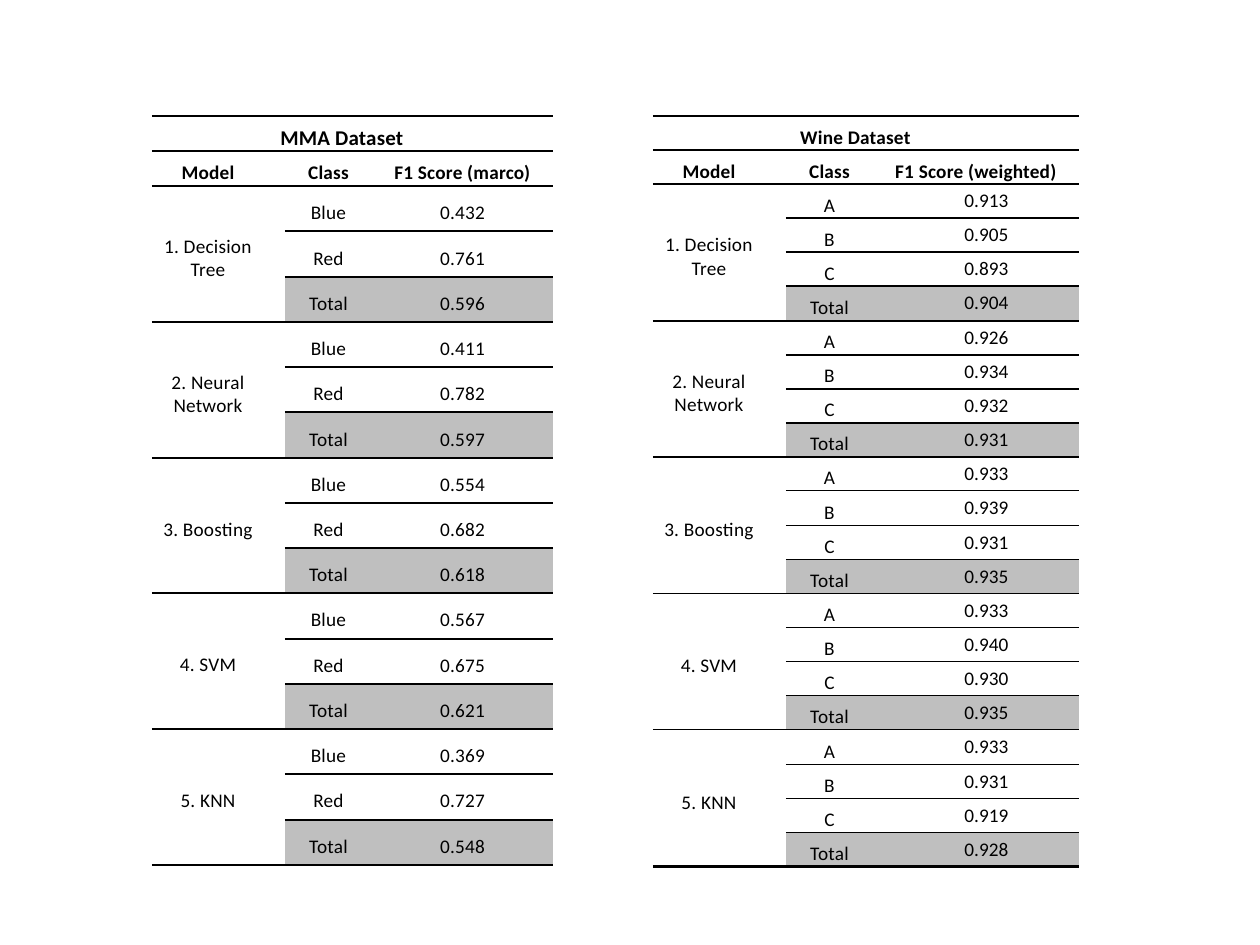
from copy import deepcopy
from lxml.etree import SubElement
from pptx import Presentation
from pptx.dml.color import RGBColor
from pptx.enum.text import MSO_ANCHOR as ANCHOR, PP_ALIGN as ALIGN
from pptx.oxml import parse_xml
from pptx.oxml.ns import qn
from pptx.util import Pt

PX = 914400 // 126
COLORS = {"ink": "000000", "total": "BFBFBF"}
NS = "http://schemas.openxmlformats.org/drawingml/2006/main"
PLAIN_STYLE = "{2D5ABB26-0587-4C30-8999-92F81FD0307C}"
MODELS = ["1. Decision Tree", "2. Neural\vNetwork", "3. Boosting", "4. SVM", "5. KNN"]
TABLES = [
    dict(title="MMA Dataset", title_size=12, score="F1 Score (marco)",
         left=152, widths=[133, 108, 160], header=35, body=679,
         classes=["Blue", "Red", "Total"], score_inset=True,
         scores=["0.432 0.761 0.596", "0.411 0.782 0.597", "0.554 0.682 0.618",
                 "0.567 0.675 0.621", "0.369 0.727 0.548"]),
    dict(title="Wine Dataset", title_size=11, score="F1 Score (weighted)",
         left=653, widths=[133, 108, 185], header=34, body=683,
         classes=["A", "B", "C", "Total"], score_inset=False,
         scores=["0.913 0.905 0.893 0.904", "0.926 0.934 0.932 0.931",
                 "0.933 0.939 0.931 0.935", "0.933 0.940 0.930 0.935",
                 "0.933 0.931 0.919 0.928"]),
]
TOP = 116


def write_cell(cell, text="", size=11, bold=False, inset=True, fill=None, top=1, bottom=1):
    cell.vertical_anchor = ANCHOR.MIDDLE
    cell.margin_left = cell.margin_bottom = 0
    cell.margin_top = 9 * PX if inset else 0
    cell.margin_right = 21 * PX if inset else 0
    if fill:
        cell.fill.solid()
        cell.fill.fore_color.rgb = RGBColor.from_string(COLORS[fill])
    else:
        cell.fill.background()
    tcPr = cell._tc.get_or_add_tcPr()
    borders = [(tag, width) for tag, width in (("lnT", top), ("lnB", bottom)) if width]
    for i, (tag, width) in enumerate(borders):
        tcPr.insert(i, parse_xml(
            f'<a:{tag} xmlns:a="{NS}" w="{Pt(width)}"><a:solidFill>'
            f'<a:srgbClr val="{COLORS["ink"]}"/></a:solidFill></a:{tag}>'))
    p = cell.text_frame.paragraphs[0]
    p.text = text
    p.alignment = ALIGN.CENTER
    for r in p.runs:
        r.font.name = "Calibri"
        r.font.size = Pt(size)
        r.font.bold = bold
        r.font.color.rgb = RGBColor.from_string(COLORS["ink"])
        r._r.get_or_add_rPr().set("spc", "10" if inset else "0")
    for br in p._p.findall(qn("a:br")):
        br.append(deepcopy(p.runs[0]._r.rPr))
    if not text:
        SubElement(p._p, qn("a:endParaRPr")).set("sz", str(size * 100))


prs = Presentation()
prs.slide_width = 1260 * PX
prs.slide_height = 945 * PX
s = prs.slides.add_slide(prs.slide_layouts[6])

for spec_table in TABLES:
    classes = spec_table["classes"]
    group = len(classes)
    body_rows = group * len(MODELS)
    header, body = spec_table["header"], spec_table["body"]
    edges = [round(i * body / body_rows) for i in range(body_rows + 1)]
    heights = [header, header] + [b - a for a, b in zip(edges, edges[1:])]
    widths = spec_table["widths"]

    frame = s.shapes.add_table(len(heights), 3, spec_table["left"] * PX, TOP * PX,
                               sum(widths) * PX, sum(heights) * PX)
    table = frame.table
    table.first_row = table.horz_banding = False
    table._tbl.tblPr.find(qn("a:tableStyleId")).text = PLAIN_STYLE
    for column, width in zip(table.columns, widths):
        column.width = width * PX
    for row, height in zip(table.rows, heights):
        row.height = height * PX

    table.cell(0, 0).merge(table.cell(0, 2))
    for col, label in enumerate(["Model", "Class", spec_table["score"]]):
        write_cell(table.cell(0, col), "" if col else spec_table["title"],
                   size=spec_table["title_size"], bold=True, top=1.5, bottom=1.5)
        write_cell(table.cell(1, col), label, bold=True, top=1.5)

    for m, (model, scores) in enumerate(zip(MODELS, spec_table["scores"])):
        first = 2 + m * group
        table.cell(first, 0).merge(table.cell(first + group - 1, 0))
        end = 1.5 if model == MODELS[-1] else 1
        for i, (label, score) in enumerate(zip(classes, scores.split())):
            last = i == group - 1
            bottom = end if last else 1
            fill = "total" if last else None
            write_cell(table.cell(first + i, 0), "" if i else model,
                       top=0 if i else 1, bottom=end if last or i == 0 else 0)
            write_cell(table.cell(first + i, 1), label, fill=fill, bottom=bottom)
            write_cell(table.cell(first + i, 2), score, fill=fill, bottom=bottom,
                       inset=spec_table["score_inset"])

prs.save("out.pptx")
